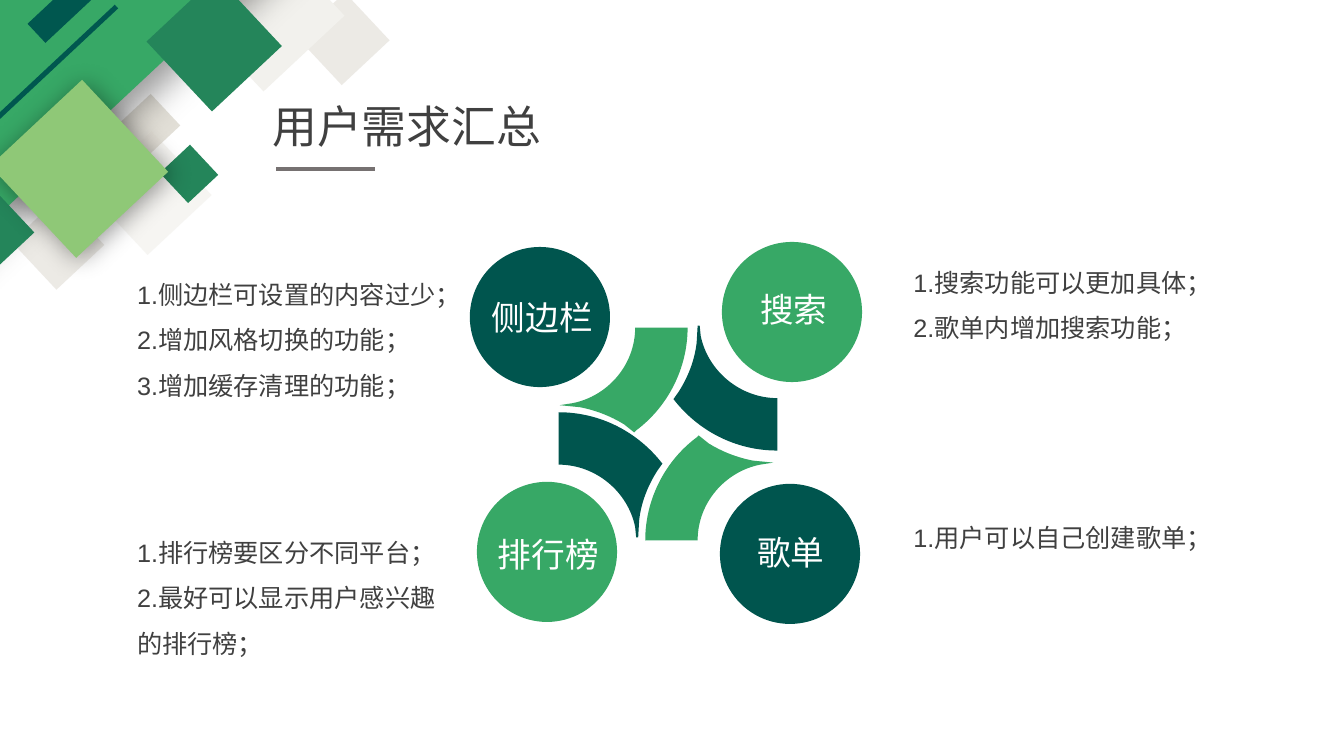
"""Build the slide that sums up user needs around a four-petal wheel."""
import pptx
import pptx.util
import pptx.dml.color
import pptx.enum.shapes
import pptx.enum.text
import pptx.oxml
import pptx.oxml.ns
import lxml.etree

TITLE = "用户需求汇总"
TOPICS = [
    ("侧边栏", "dark", (46.6, 24.5), (47.8, 29, 14.3, 5),
     (12.6, 25.7, 32.2, 14.6), 1.5,
     ["1.侧边栏可设置的内容过少；", "2.增加风格切换的功能；", "3.增加缓存清理的功能；"]),
    ("歌单", "dark", (71.4, 48), (74.1, 52.3, 8.8, 5),
     (89.6, 51.3, 33.3, 4), 1,
     ["1.用户可以自己创建歌单；"]),
    ("搜索", "green", (71.6, 24), (74.4, 28.2, 8.8, 5),
     (89.6, 24.5, 33.3, 10.1), 1.5,
     ["1.搜索功能可以更加具体；", "2.歌单内增加搜索功能；"]),
    ("排行榜", "green", (47.3, 47.8), (48.4, 52.5, 15.6, 5),
     (12.6, 51.3, 32.2, 14.6), 1.5,
     ["1.排行榜要区分不同平台；", "2.最好可以显示用户感兴趣的排行榜；"]),
]
TILES = [
    (30.8, 0.6, 6.5, 6.5, "sand", 76, None),
    (20.9, -4.2, 11, 11, "pale", 100, None),
    (2.5, 20.9, 6.5, 6.5, "sand", 76, None),
    (10.5, 14.8, 8.7, 8.7, "pale", 67, None),
    (12.7, 10.2, 4.3, 4.3, "stone", 73, None),
    (-20.3, -13.6, 52.7, 24.6, "green", 100, (27, 16, 90)),
    (-16.3, 11.4, 32.2, 0.5, "teal", 100, None),
    (16.7, 15.2, 4.1, 4.1, "mid", 100, None),
    (18.5, -4.9, 4.4, 4.4, "dark", 100, None),
    (16.5, -0.4, 9.5, 9.5, "mid", 100, None),
    (-4.8, 19.5, 6.8, 6.8, "mid", 100, None),
    (1.6, 10.5, 12.5, 12.5, "lime", 100, (18, 3, 45)),
    (-0.8, -9.2, 32.8, 2.6, "teal", 100, None),
]
PETALS = [
    ("green", (132.2, 86.1), [
        (63, 32.5), (68.2, 32.5), (68.2, 36.6, 66.2, 40.4, 63.1, 42.7),
        (62.9, 42.9), (61.9, 42.1), (60.6, 41.3, 59.1, 40.7, 57.5, 40.4),
        (55.5, 40.2), (56.8, 40), (60.3, 39.3, 63, 36.2, 63, 32.5)]),
    ("dark", (132.5, 85.6), [
        (69.2, 32.3), (69.4, 32.3), (69.5, 33.3),
        (70.2, 36.8, 73.4, 39.5, 77.1, 39.5), (77.1, 44.7),
        (72.9, 44.7, 69.2, 42.7, 66.8, 39.6), (67.3, 38.9),
        (68.2, 37.5, 68.9, 35.8, 69.1, 34)]),
]
THEME = {
    "font": "Arial", "title": 32, "label": 24, "list": 18, "rule": 3,
    "ink": "404040", "white": "FFFFFF", "grey": "767171", "black": "000000",
    "green": "37A866", "dark": "00554E", "teal": "00574F", "mid": "24855A",
    "lime": "8FC877", "sand": "E7E4DD", "pale": "F2F1ED", "stone": "D8D4C9",
}
WIDE, HIGH = 13.33, 7.5
CELL = HIGH / 75
TURN, DISC = 316.9, 13.9


def cells(*nums):
    return [pptx.util.Inches(num * CELL) for num in nums]


def color(key):
    return pptx.dml.color.RGBColor.from_string(THEME[key])


def node(host, tag, **attrs):
    return lxml.etree.SubElement(host, pptx.oxml.ns.qn(tag), attrs)


def paint(shape, key):
    shape.fill.solid()
    shape.fill.fore_color.rgb = color(key)
    shape.line.fill.background()
    shape.shadow.inherit = False


def shade(shape, blur, dist, angle):
    host = shape.element.spPr.find(pptx.oxml.ns.qn("a:effectLst"))
    drop = node(host, "a:outerShdw", blurRad=str(pptx.util.Pt(blur)),
                dist=str(pptx.util.Pt(dist)), dir=str(angle * 60000),
                algn="ctr", rotWithShape="0")
    tone = node(drop, "a:srgbClr", val=THEME["black"])
    node(tone, "a:alpha", val="40000")


def style(para, size, key):
    for run in para.runs:
        run.font.size = pptx.util.Pt(THEME[size])
        run.font.name = THEME["font"]
        run.font.bold = False
        run.font.color.rgb = color(key)


def place(holder, box, lines, size, pitch=1, key="ink"):
    holder.left, holder.top, holder.width, holder.height = cells(*box)
    frame = holder.text_frame
    frame.text = "\n".join(lines)
    frame.word_wrap = True
    frame.auto_size = pptx.enum.text.MSO_AUTO_SIZE.NONE
    frame.vertical_anchor = pptx.enum.text.MSO_ANCHOR.TOP
    for para in frame.paragraphs:
        props = para._p.get_or_add_pPr()
        props.set("marL", "0")
        props.set("indent", "0")
        node(props, "a:buNone")
        para.alignment = pptx.enum.text.PP_ALIGN.LEFT
        para.space_before = pptx.util.Pt(0)
        para.line_spacing = pitch
        style(para, size, key)


def draw_tiles(shapes):
    for left, top, width, height, key, alpha, drop in TILES:
        tile = shapes.add_shape(pptx.enum.shapes.MSO_SHAPE.RECTANGLE,
                                *cells(left, top, width, height))
        tile.rotation = TURN
        paint(tile, key)
        if alpha < 100:
            tone = next(tile.element.spPr.iter(pptx.oxml.ns.qn("a:srgbClr")))
            node(tone, "a:alpha", val=str(alpha * 1000))
        if drop:
            shade(tile, *drop)


def draw_rule(shapes):
    rule = shapes.add_connector(pptx.enum.shapes.MSO_CONNECTOR.STRAIGHT,
                                *cells(27.4, 16.8, 37.2, 16.8))
    rule.line.color.rgb = color("grey")
    rule.line.width = pptx.util.Pt(THEME["rule"])
    node(rule.element.spPr, "a:effectLst")


def draw_petal(shapes, parts, key):
    ends = [cells(*part[-2:]) for part in parts]
    pen = shapes.build_freeform(*ends[0], scale=1.0)
    pen.add_line_segments(ends[1:], close=True)
    petal = pen.convert_to_shape()
    paint(petal, key)
    legs = list(petal.element.spPr.iter(pptx.oxml.ns.qn("a:lnTo")))
    for leg, part in zip(legs, parts[1:]):
        if len(part) == 6:
            leg.tag = pptx.oxml.ns.qn("a:cubicBezTo")
            leg.remove(leg[0])
            for spot in (0, 2, 4):
                x, y = cells(*part[spot:spot + 2])
                node(leg, "a:pt", x=str(x - petal.left), y=str(y - petal.top))


def draw_wheel(shapes):
    for key, pivot, parts in PETALS:
        twin = [tuple(pivot[i % 2] - num for i, num in enumerate(part))
                for part in parts]
        draw_petal(shapes, parts, key)
        draw_petal(shapes, twin, key)


def draw_topic(slide, slot, topic):
    name, key, spot, tag, box, pitch, lines = topic
    disc = slide.shapes.add_shape(pptx.enum.shapes.MSO_SHAPE.OVAL,
                                  *cells(*spot, DISC, DISC))
    paint(disc, key)
    label = slide.shapes.add_textbox(*cells(*tag))
    place(label, tag, [name], "label", key="white")
    place(slide.placeholders[slot], box, lines, "list", pitch)


def main():
    deck = pptx.Presentation()
    deck.slide_width = pptx.util.Inches(WIDE)
    deck.slide_height = pptx.util.Inches(HIGH)
    slide = deck.slides.add_slide(deck.slide_layouts.get_by_name("Comparison"))
    draw_tiles(slide.shapes)
    place(slide.shapes.title, (26, 9.3, 40.7, 6.4), [TITLE], "title")
    draw_rule(slide.shapes)
    draw_wheel(slide.shapes)
    for slot, topic in enumerate(TOPICS, 1):
        draw_topic(slide, slot, topic)
    deck.save("out.pptx")


if __name__ == "__main__":
    main()
